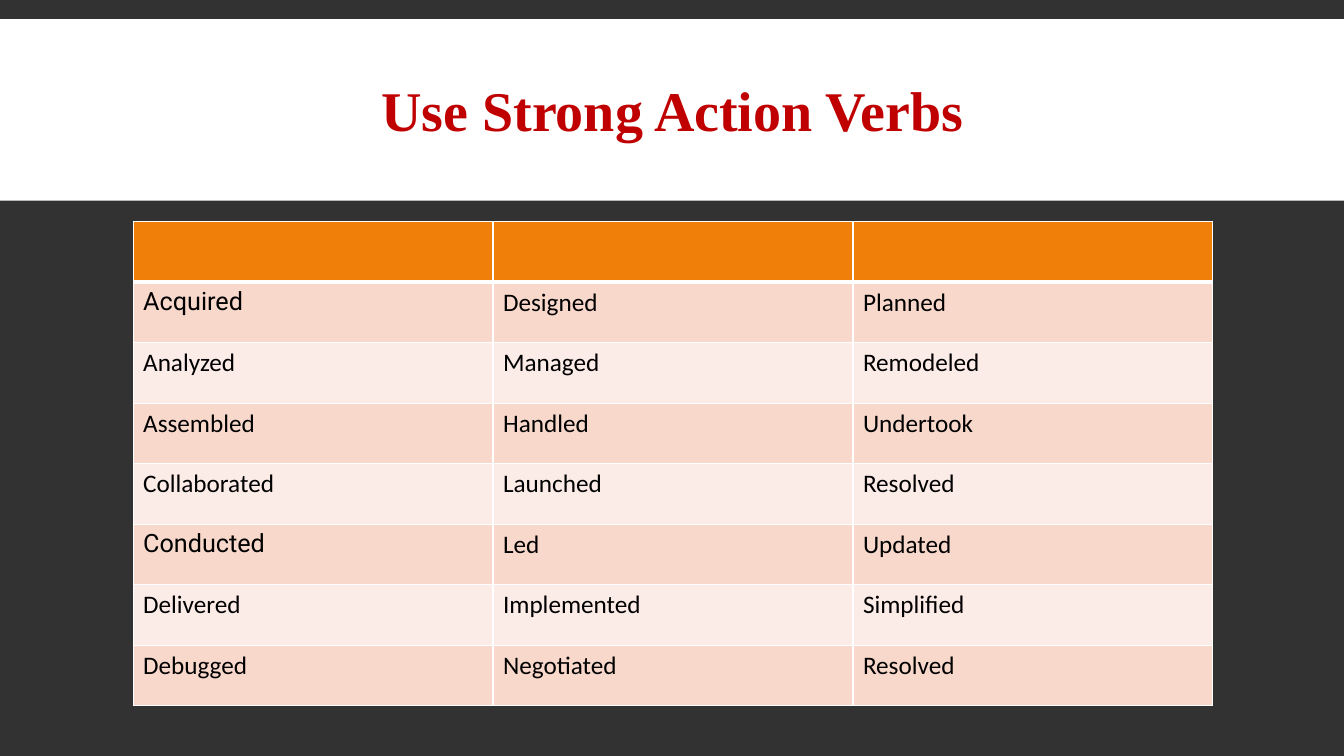
from dataclasses import dataclass

from lxml import etree
from pptx import Presentation
from pptx.dml.color import RGBColor
from pptx.enum.shapes import MSO_SHAPE
from pptx.enum.text import MSO_ANCHOR, PP_ALIGN
from pptx.oxml.ns import qn
from pptx.util import Inches, Pt

RECTANGLE = MSO_SHAPE.RECTANGLE
MIDDLE = MSO_ANCHOR.MIDDLE
CENTER = PP_ALIGN.CENTER

WHITE = "FFFFFF"
BACKGROUND = "323232"
TITLE_RED = "C00000"
HEADER_ORANGE = "F07F09"
BAND_COLORS = ("F9D8CC", "FCECE7")
ROW_HEIGHT = 0.6
COLUMN_WIDTH = 3.57
THIN_BORDER = 1
HEADER_BORDER = 3


@dataclass
class VerbRow:
    verbs: tuple[str, str, str]
    first_font: str = "Calibri"


VERB_ROWS = [
    VerbRow(("Acquired", "Designed", "Planned"), "Roboto"),
    VerbRow(("Analyzed", "Managed", "Remodeled")),
    VerbRow(("Assembled", "Handled", "Undertook")),
    VerbRow(("Collaborated", "Launched", "Resolved")),
    VerbRow(("Conducted", "Led", "Updated"), "Roboto"),
    VerbRow(("Delivered", "Implemented", "Simplified")),
    VerbRow(("Debugged", "Negotiated", "Resolved")),
]


def set_fill(fill, color: str) -> None:
    fill.solid()
    fill.fore_color.rgb = RGBColor.from_string(color)


def style_paragraph(paragraph, name: str, size: float, color: str, bold: bool = False) -> None:
    font = paragraph.font
    font.name = name
    font.size = Pt(size)
    font.bold = bold
    font.color.rgb = RGBColor.from_string(color)


def set_borders(cell, top: float, bottom: float) -> None:
    properties = cell._tc.get_or_add_tcPr()
    widths = {"a:lnL": THIN_BORDER, "a:lnR": THIN_BORDER, "a:lnT": top, "a:lnB": bottom}
    for tag, width in widths.items():
        line = etree.SubElement(properties, qn(tag), w=str(Pt(width)))
        solid = etree.SubElement(line, qn("a:solidFill"))
        etree.SubElement(solid, qn("a:srgbClr"), val=WHITE)


def add_title(slide) -> None:
    band = slide.shapes.add_shape(RECTANGLE, 0, Inches(0.19), Inches(13.33), Inches(1.8))
    band.shadow.inherit = False
    set_fill(band.fill, WHITE)
    band.line.fill.background()

    title = slide.shapes.add_textbox(Inches(1.32), Inches(0.31), Inches(10.7), Inches(1.65))
    title.text_frame.word_wrap = True
    title.text_frame.vertical_anchor = MIDDLE
    paragraph = title.text_frame.paragraphs[0]
    paragraph.text = "Use Strong Action Verbs"
    paragraph.alignment = CENTER
    paragraph.line_spacing = 0.85
    style_paragraph(paragraph, "Times New Roman", 40, TITLE_RED, bold=True)


def add_verb_table(slide) -> None:
    row_count = len(VERB_ROWS) + 1
    table = slide.shapes.add_table(
        row_count, 3, Inches(1.32), Inches(2.2),
        Inches(3 * COLUMN_WIDTH), Inches(row_count * ROW_HEIGHT),
    ).table
    for column in table.columns:
        column.width = Inches(COLUMN_WIDTH)
    for row in table.rows:
        row.height = Inches(ROW_HEIGHT)

    for cell in table.rows[0].cells:
        set_borders(cell, THIN_BORDER, HEADER_BORDER)
        set_fill(cell.fill, HEADER_ORANGE)

    for index, verb_row in enumerate(VERB_ROWS):
        top = HEADER_BORDER if index == 0 else THIN_BORDER
        for column, verb in enumerate(verb_row.verbs):
            cell = table.cell(index + 1, column)
            set_borders(cell, top, THIN_BORDER)
            set_fill(cell.fill, BAND_COLORS[index % 2])
            cell.text = verb
            font_name = verb_row.first_font if column == 0 else "Calibri"
            style_paragraph(cell.text_frame.paragraphs[0], font_name, 18, "000000")


def main() -> None:
    presentation = Presentation()
    presentation.slide_width = Inches(13.33)
    presentation.slide_height = Inches(7.5)
    slide = presentation.slides.add_slide(presentation.slide_layouts[6])
    set_fill(slide.background.fill, BACKGROUND)
    add_title(slide)
    add_verb_table(slide)
    presentation.save("out.pptx")


if __name__ == "__main__":
    main()
